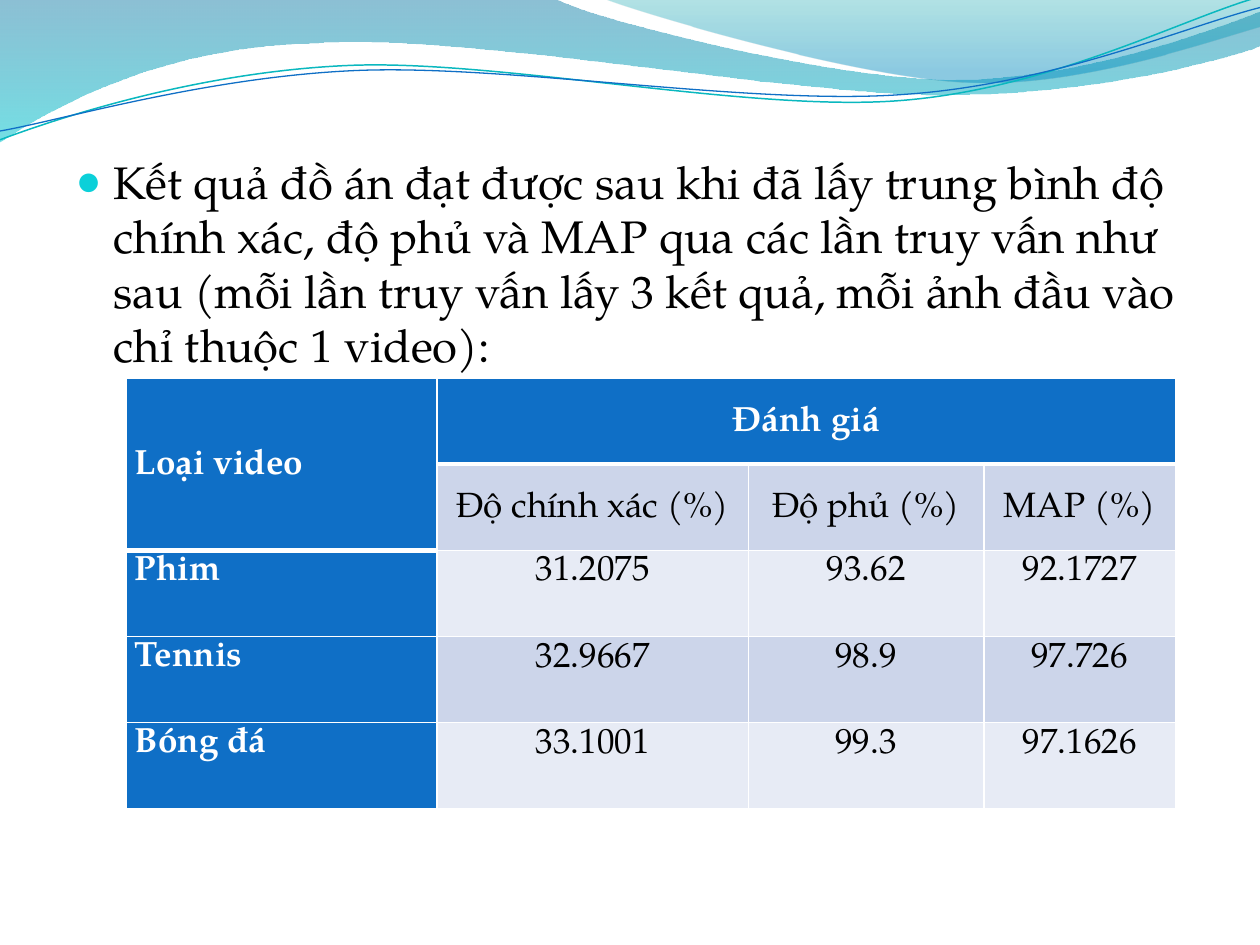
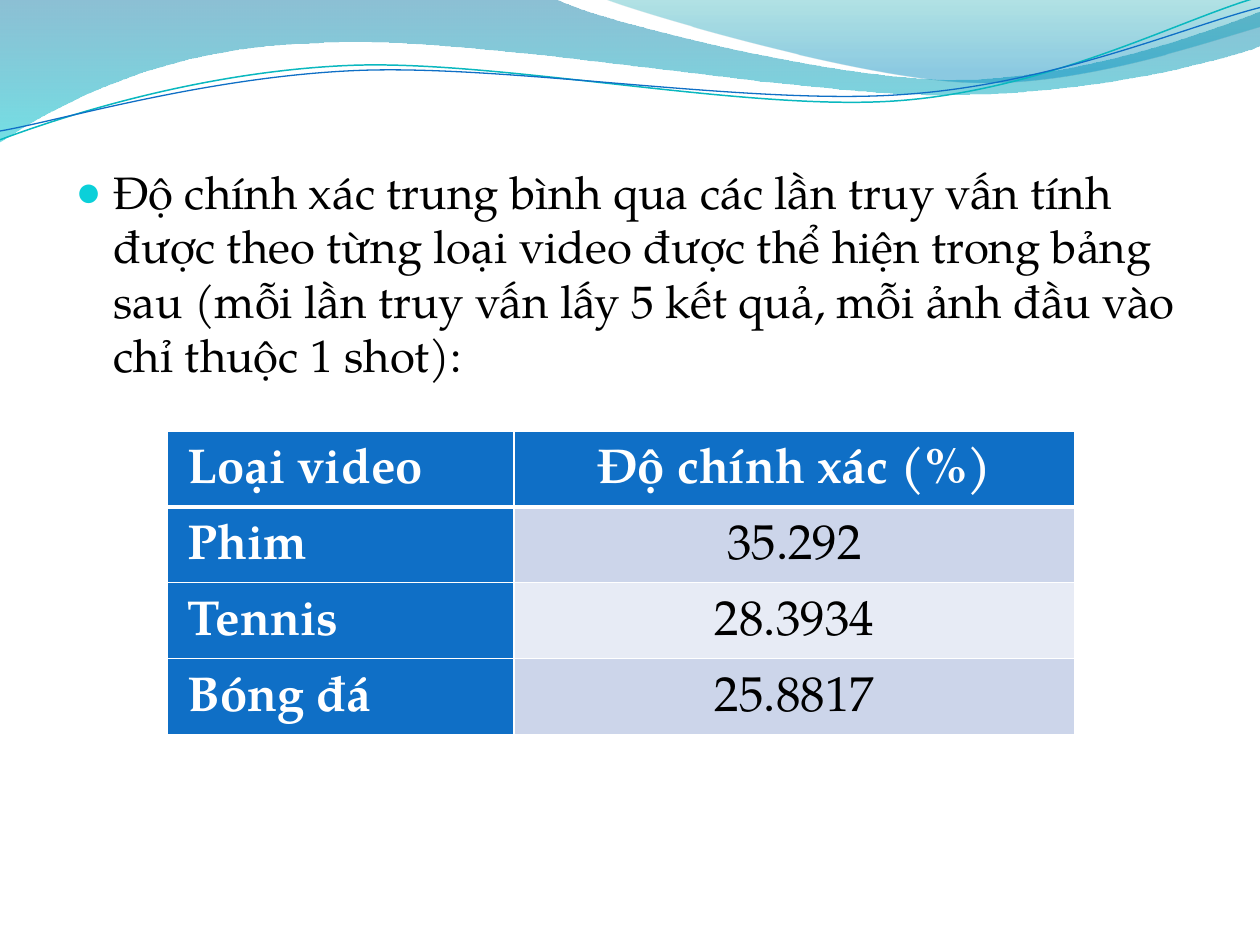
from dataclasses import dataclass
from typing import Optional

from lxml.etree import SubElement
from pptx import Presentation
from pptx.dml.color import RGBColor
from pptx.enum.text import MSO_ANCHOR as Anchor, MSO_AUTO_SIZE as AutoSize, PP_ALIGN as Align
from pptx.oxml.ns import qn
from pptx.util import Inches, Pt

FONT = "TeX Gyre Pagella"
COLORS = {
    "text": "000000", "white": "FFFFFF", "bullet": "0BD0D9",
    "header": "0F6FC6", "row_dark": "CCD5EA", "row_light": "E7EBF5",
    "wave_top": "0074A1", "wave_bottom": "00C6CF",
    "crest_top": "00A1A9", "crest_bottom": "008BBF",
    "teal_line": "0AB8BF", "blue_line": "0F6FC6",
}


@dataclass(frozen=True)
class Stop:
    position: float
    color: str
    alpha: int


@dataclass(frozen=True)
class Wave:
    """Segments of one point are straight; segments of three are Bezier curves."""
    start: tuple
    segments: tuple
    stops: tuple = ()
    line: str = ""
    width: float = 0


@dataclass(frozen=True)
class ResultTable:
    left: float
    top: float
    columns: tuple
    height: float
    rows: tuple
    size: int
    inset: float
    header_rows: int = 1
    data_anchor: Anchor = Anchor.MIDDLE


@dataclass(frozen=True)
class ResultSlide:
    statement: str
    top: float
    height: float
    table: ResultTable


WAVES = (
    Wave((0, 0), (
        ((4.4, -0.01),),
        ((4.76, 0.17), (6.64, 0.63), (7.58, 0.63)),
        ((8.53, 0.63), (9.58, 0.26), (10, 0.09)),
        ((10.01, 0.36),),
        ((9.83, 0.44), (8.7, 0.76), (7.46, 0.75)),
        ((6.22, 0.75), (3.82, 0.28), (2.57, 0.34)),
        ((1.29, 0.36), (0.46, 0.83), (-0.01, 1.13)),
    ), stops=(Stop(0, "wave_top", 45), Stop(1, "wave_bottom", 55))),
    Wave((4.79, -0.01), (
        ((5.09, 0.11), (6.82, 0.62), (7.69, 0.65)),
        ((8.56, 0.69), (9.61, 0.32), (10, 0.21)),
        ((10, 0),),
    ), stops=(Stop(0, "crest_top", 30), Stop(0.8, "crest_bottom", 45))),
    Wave((0, 1.11), (
        ((0.48, 0.93), (1.58, 0.57), (2.77, 0.52)),
        ((3.95, 0.47), (5.93, 0.89), (7.13, 0.8)),
        ((8.33, 0.71), (9.38, 0.15), (9.98, -0.02)),
    ), line="teal_line", width=0.85),
    Wave((0, 1.04), (
        ((0.47, 0.96), (1.64, 0.61), (2.83, 0.56)),
        ((4.03, 0.51), (5.97, 0.84), (7.17, 0.75)),
        ((8.36, 0.67), (9.41, 0.21), (10, 0.06)),
    ), line="blue_line", width=0.75),
)

# None marks a cell covered by the one before it or above it
RESULT_SLIDES = (
    ResultSlide(
        "Kết quả đồ án đạt được sau khi đã lấy trung bình độ chính xác, độ phủ và MAP "
        "qua các lần truy vấn như sau (mỗi lần truy vấn lấy 3 kết quả, mỗi ảnh đầu vào "
        "chỉ thuộc 1 video):",
        1.17, 1.67,
        ResultTable(1, 3, (2.47, 2.47, 1.87, 1.52), 3.42, (
            ("Loại video", "Đánh giá", None, None),
            (None, "Độ chính xác (%)", "Độ phủ (%)", "MAP (%)"),
            ("Phim", "31.2075", "93.62", "92.1727"),
            ("Tennis", "32.9667", "98.9", "97.726"),
            ("Bóng đá", "33.1001", "99.3", "97.1626"),
        ), size=20, inset=0.07, header_rows=2, data_anchor=Anchor.TOP)),
    ResultSlide(
        "Độ chính xác trung bình qua các lần truy vấn tính được theo từng loại video "
        "được thể hiện trong bảng sau (mỗi lần truy vấn lấy 5 kết quả, mỗi ảnh đầu vào "
        "chỉ thuộc 1 shot):",
        1.25, 1.92,
        ResultTable(1.33, 3.42, (2.75, 4.45), 2.41, (
            ("Loại video", "Độ chính xác (%)"),
            ("Phim", "35.292"),
            ("Tennis", "28.3934"),
            ("Bóng đá", "25.8817"),
        ), size=28, inset=0.16)),
)


def rgb(name: str) -> RGBColor:
    return RGBColor.from_string(COLORS[name])


def write_text(frame, text: str, *, size: float, color: str = "text", bold: bool = False,
               align: Align = Align.LEFT, spacing: float = 1.0,
               bullet: Optional[str] = None) -> None:
    paragraph = frame.paragraphs[0]
    if bullet:
        props = paragraph._p.get_or_add_pPr()
        props.set("marL", str(Inches(0.3)))
        props.set("indent", str(Inches(-0.3)))
        bullet_color = SubElement(props, qn("a:buClr"))
        SubElement(bullet_color, qn("a:srgbClr"), val=COLORS["bullet"])
        SubElement(props, qn("a:buSzPct"), val="95000")
        SubElement(props, qn("a:buChar"), char=bullet)
    paragraph.alignment = align
    paragraph.line_spacing = spacing
    paragraph.space_before = Pt(0)
    run = paragraph.add_run()
    run.text = text
    run.font.name = FONT
    run.font.size = Pt(size)
    run.font.bold = bold
    run.font.color.rgb = rgb(color)


# Wave band shared through the slide master
def bend_segments(shape, wave: Wave) -> None:
    """Join the straight steps of each three-point segment into one Bezier curve."""
    steps = iter(list(shape.element.iter(qn("a:lnTo"))))
    for segment in wave.segments:
        group = [next(steps) for _ in segment]
        if len(group) == 3:
            curve = group[0].makeelement(qn("a:cubicBezTo"))
            group[0].addprevious(curve)
            for step in group:
                curve.append(step[0])
                step.getparent().remove(step)


def draw_wave(slide, wave: Wave):
    points = [(Inches(x), Inches(y))
              for x, y in (wave.start, *(point for part in wave.segments for point in part))]
    builder = slide.shapes.build_freeform(*points[0])
    builder.add_line_segments(points[1:], close=bool(wave.stops))
    shape = builder.convert_to_shape()
    bend_segments(shape, wave)
    shape.shadow.inherit = False
    if not wave.stops:
        shape.fill.background()
        shape.line.color.rgb = rgb(wave.line)
        shape.line.width = Pt(wave.width)
        return shape
    shape.fill.gradient()
    shape.fill.gradient_angle = 270
    for target, stop in zip(shape.fill.gradient_stops, wave.stops):
        target.position = stop.position
        target.color.rgb = rgb(stop.color)
    for color, stop in zip(shape.element.spPr.iter(qn("a:srgbClr")), wave.stops):
        SubElement(color, qn("a:alpha"), val=str(stop.alpha * 1000))
    shape.line.fill.background()
    return shape


def add_band_to_master(deck, slide) -> None:
    tree = deck.slide_master.element.cSld.spTree
    for order, wave in enumerate(WAVES):
        shape = draw_wave(slide, wave)
        shape.element.nvSpPr.cNvPr.set("id", str(100 + order))
        tree.insert(2 + order, shape.element)


# Result tables
def set_borders(cell, **widths: float) -> None:
    props = cell._tc.get_or_add_tcPr()
    for side, width in widths.items():
        border = SubElement(props, qn(f"a:ln{side}"), w=str(Pt(width)))
        fill = SubElement(border, qn("a:solidFill"))
        SubElement(fill, qn("a:srgbClr"), val=COLORS["white"])


def draw_table(slide, table: ResultTable) -> None:
    rows, columns = table.rows, table.columns
    grid = slide.shapes.add_table(
        len(rows), len(columns), Inches(table.left), Inches(table.top),
        Inches(sum(columns)), Inches(table.height)).table
    for column, width in zip(grid.columns, columns):
        column.width = Inches(width)
    for r, row in enumerate(rows):
        grid.rows[r].height = Inches(table.height / len(rows))
        for c, text in enumerate(row):
            cell = grid.cell(r, c)
            header_end = table.header_rows if c == 0 else 1
            is_header = c == 0 or r == 0
            set_borders(cell, L=1, R=1, T=3 if r == header_end else 1,
                        B=3 if r < header_end else 1)
            cell.fill.solid()
            stripe = "row_dark" if r % 2 else "row_light"
            cell.fill.fore_color.rgb = rgb("header" if is_header else stripe)
            cell.margin_left = cell.margin_right = Inches(table.inset)
            cell.margin_top = cell.margin_bottom = 0
            in_header = r < table.header_rows
            cell.vertical_anchor = Anchor.MIDDLE if in_header else table.data_anchor
            if text is not None:
                write_text(cell.text_frame, text, size=table.size, spacing=1.15,
                           color="white" if is_header else "text", bold=is_header,
                           align=Align.LEFT if c == 0 else Align.CENTER)
    if table.header_rows > 1:
        grid.cell(0, 0).merge(grid.cell(table.header_rows - 1, 0))
        grid.cell(0, 1).merge(grid.cell(0, len(columns) - 1))


def draw_statement(slide, content: ResultSlide) -> None:
    title, body = slide.shapes.title, slide.placeholders[1]
    title.element.getparent().remove(title.element)
    body.left, body.top = Inches(0.5), Inches(content.top)
    body.width, body.height = Inches(9), Inches(content.height)
    body.text_frame.word_wrap = True
    body.text_frame.auto_size = AutoSize.NONE
    body.text_frame.vertical_anchor = Anchor.TOP
    write_text(body.text_frame, content.statement, size=26, bullet="●")


def main() -> None:
    deck = Presentation()
    deck.slide_width, deck.slide_height = Inches(10), Inches(7.5)
    slides = [deck.slides.add_slide(deck.slide_layouts[1]) for _ in RESULT_SLIDES]
    add_band_to_master(deck, slides[0])
    for slide, content in zip(slides, RESULT_SLIDES):
        draw_statement(slide, content)
        draw_table(slide, content.table)
    deck.save("out.pptx")


if __name__ == "__main__":
    main()
